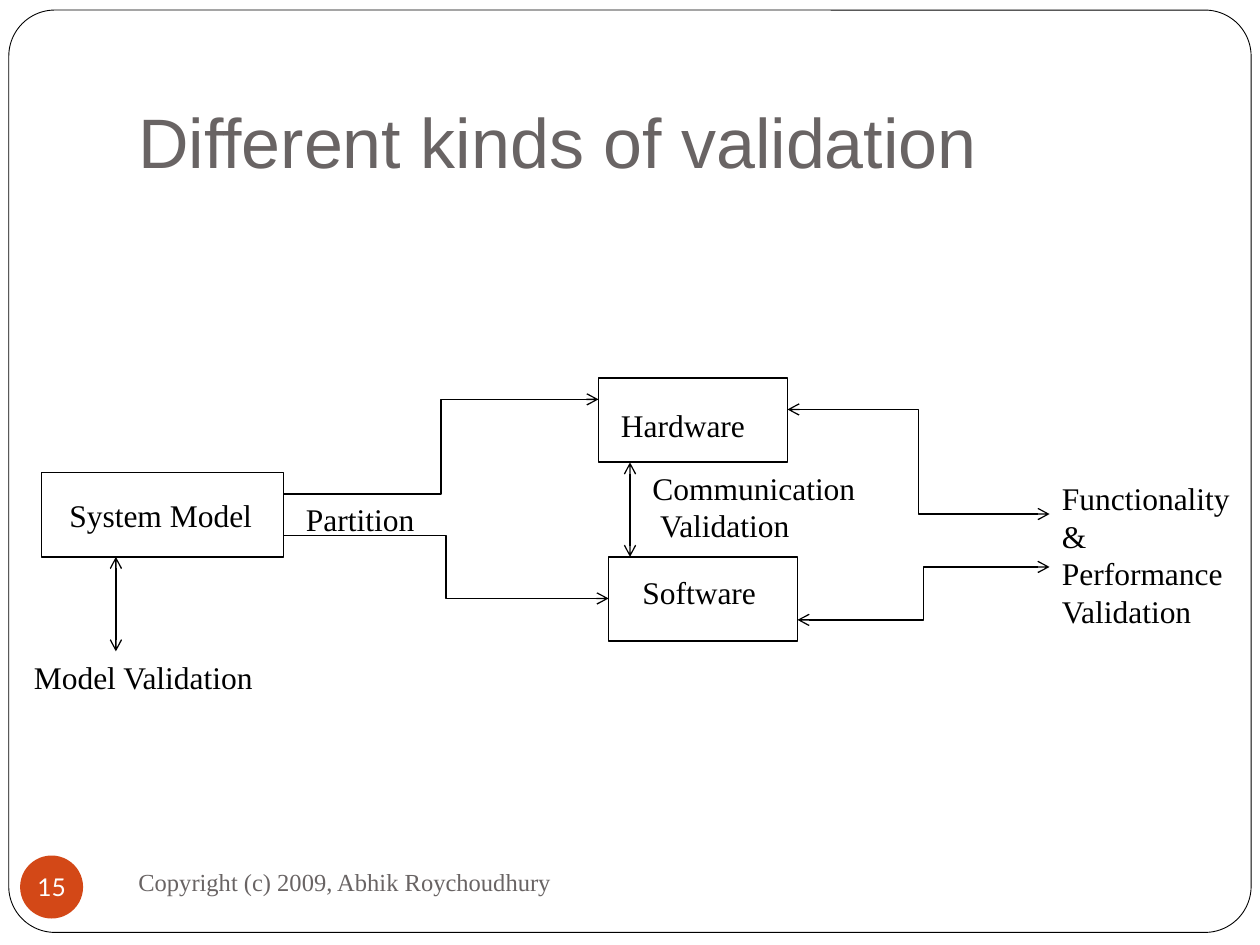
"""Build the slide on the different kinds of validation."""
from lxml import etree
from pptx import Presentation
from pptx.dml.color import RGBColor
from pptx.enum.shapes import MSO_CONNECTOR, MSO_SHAPE
from pptx.enum.text import MSO_ANCHOR, PP_ALIGN
from pptx.oxml.ns import qn
from pptx.util import Inches, Pt

STRAIGHT, ELBOW = MSO_CONNECTOR.STRAIGHT, MSO_CONNECTOR.ELBOW
RECTANGLE, ROUNDED, OVAL = MSO_SHAPE.RECTANGLE, MSO_SHAPE.ROUNDED_RECTANGLE, MSO_SHAPE.OVAL
TOP, MIDDLE, BOTTOM = MSO_ANCHOR.TOP, MSO_ANCHOR.MIDDLE, MSO_ANCHOR.BOTTOM
LEFT, CENTER = PP_ALIGN.LEFT, PP_ALIGN.CENTER
SERIF = "Times New Roman"
BLACK, WHITE, GRAY, ORANGE = "000000", "FFFFFF", "696464", "D34817"


def color(value):
    """Turn a hex string into a colour."""
    return RGBColor.from_string(value)


def write(shape, lines, size=18, font=SERIF, ink=BLACK, anchor=TOP, align=LEFT):
    """Write one paragraph per line into a shape."""
    frame = shape.text_frame
    frame.word_wrap = True
    frame.vertical_anchor = anchor
    for index, line in enumerate(lines):
        paragraph = frame.add_paragraph() if index else frame.paragraphs[0]
        paragraph.alignment = align
        run = paragraph.add_run()
        run.text = line
        run.font.size = Pt(size)
        run.font.name = font
        run.font.color.rgb = color(ink)
    return frame


presentation = Presentation()
presentation.slide_width, presentation.slide_height = Inches(10), Inches(7.5)
slide = presentation.slides.add_slide(presentation.slide_layouts[6])
shapes = slide.shapes

# kind, left, top, width, height, fill, line width
outlines = {
    "frame": (ROUNDED, 0.07, 0.08, 9.86, 7.32, WHITE, 0.5),
    "number": (OVAL, 0.16, 6.79, 0.5, 0.5, ORANGE, None),
    "model": (RECTANGLE, 0.33, 3.75, 1.92, 0.67, WHITE, 1),
    "hardware": (RECTANGLE, 4.75, 3, 1.5, 0.67, None, 1),
    "software": (RECTANGLE, 4.83, 4.42, 1.5, 0.67, None, 1),
}
drawn = {}
for name, (kind, left, top, width, height, fill, line_width) in outlines.items():
    shape = shapes.add_shape(kind, Inches(left), Inches(top), Inches(width), Inches(height))
    shape.shadow.inherit = False
    if fill:
        shape.fill.solid()
        shape.fill.fore_color.rgb = color(fill)
    else:
        shape.fill.background()
    if line_width:
        shape.line.color.rgb = color(BLACK)
        shape.line.width = Pt(line_width)
    else:
        shape.line.fill.background()
    drawn[name] = shape
drawn["frame"].adjustments[0] = 0.05

number_frame = write(drawn["number"], ["15"], 14, "Lato", WHITE, MIDDLE, CENTER)
number_frame.margin_left = number_frame.margin_right = 0
number_frame.margin_top = number_frame.margin_bottom = 0
number_frame.word_wrap = False
model_frame = write(drawn["model"], ["System Model"], anchor=MIDDLE)
model_frame.margin_left = Inches(0.22)

title = shapes.add_textbox(Inches(1), Inches(0.3), Inches(8.5), Inches(1.25))
title_frame = write(title, ["Different kinds of validation"], 40, "Arial", GRAY, BOTTOM)
title_frame.margin_bottom = Inches(0.1)
footer = shapes.add_textbox(Inches(1), Inches(6.75), Inches(4.33), Inches(0.5))
write(footer, ["Copyright (c) 2009, Abhik Roychoudhury"], 14, ink=GRAY, anchor=MIDDLE)

labels = [
    (0.17, 5.17, 2.42, 0.4, ["Model Validation"]),
    (2.33, 3.92, 1.25, 0.4, ["Partition"]),
    (4.83, 3.17, 1.33, 0.42, ["Hardware"]),
    (5, 4.5, 1.17, 0.42, ["Software"]),
    (8.33, 3.75, 1.67, 1.31, ["Functionality", "&", "Performance", "Validation"]),
    (5.08, 3.67, 3.08, 0.71, ["Communication", "Validation"]),
]
for left, top, width, height, lines in labels:
    label = shapes.add_textbox(Inches(left), Inches(top), Inches(width), Inches(height))
    label_frame = write(label, lines)
    if lines[0] == "Communication":
        label_frame.paragraphs[1]._p.get_or_add_pPr().set("marL", str(Inches(0.06)))

arrows = [
    (STRAIGHT, 0.92, 4.42, 0.92, 5.17, True),
    (STRAIGHT, 5, 3.67, 5, 4.42, True),
    (ELBOW, 2.25, 3.92, 4.75, 3.17, False),
    (ELBOW, 2.25, 4.25, 4.83, 4.75, False),
    (ELBOW, 6.25, 3.25, 8.33, 4.08, True),
    (ELBOW, 6.33, 4.92, 8.33, 4.5, True),
]
for kind, x1, y1, x2, y2, two_way in arrows:
    connector = shapes.add_connector(kind, Inches(x1), Inches(y1), Inches(x2), Inches(y2))
    connector.line.color.rgb = color(BLACK)
    connector.line.width = Pt(0.75)
    properties = connector._element.spPr
    for end in ("a:headEnd", "a:tailEnd") if two_way else ("a:tailEnd",):
        etree.SubElement(properties.find(qn("a:ln")), qn(end), type="arrow")
    etree.SubElement(properties, qn("a:effectLst"))

presentation.save("out.pptx")
